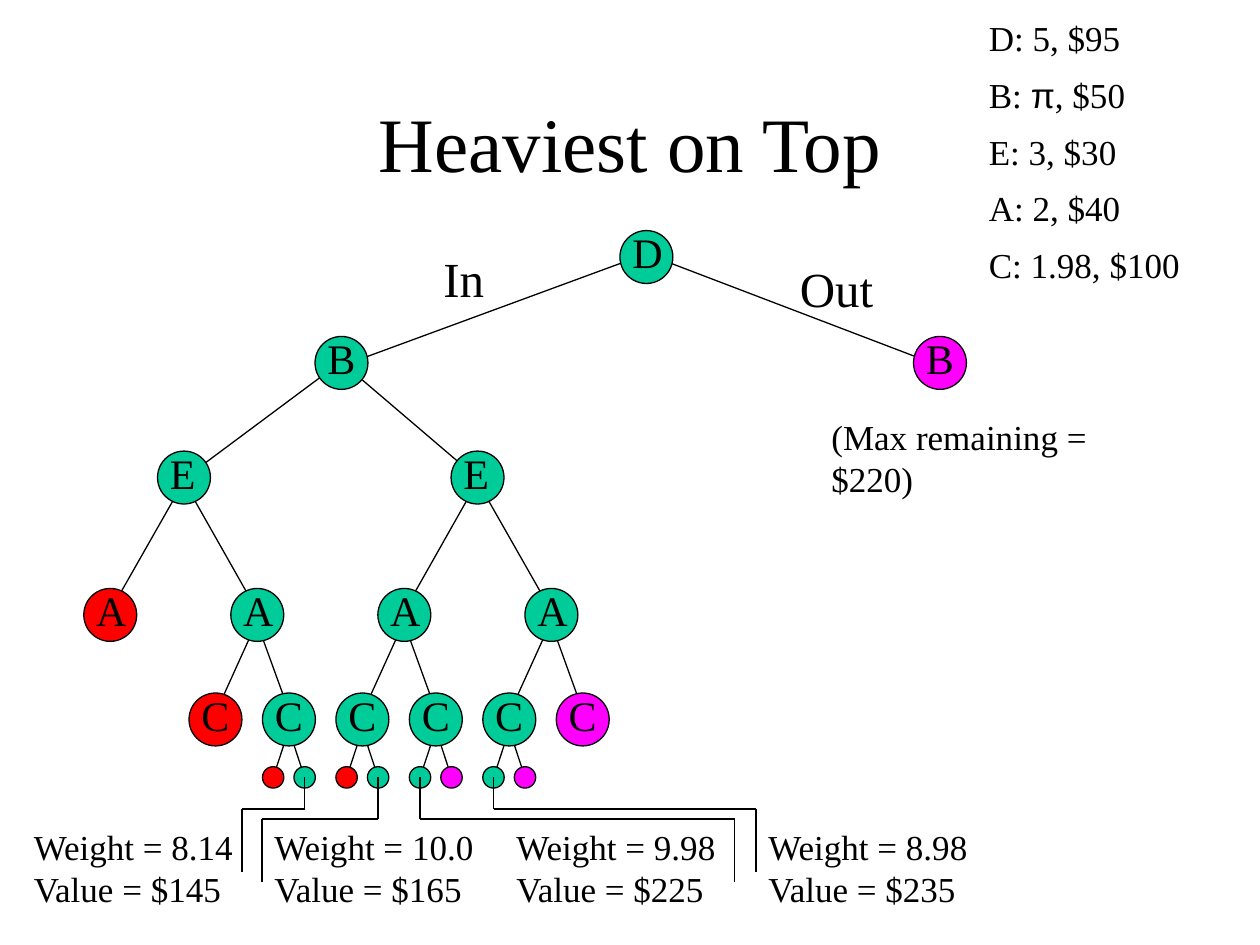
import itertools
from dataclasses import dataclass

import pptx
import pptx.dml.color
import pptx.enum.shapes
import pptx.enum.text
import pptx.oxml
import pptx.oxml.ns
import pptx.slide
import pptx.text.text
import pptx.util
from pptx.util import Inches

RGBColor = pptx.dml.color.RGBColor
Alignment = pptx.enum.text.PP_ALIGN
EFFECT_LIST = f"<a:effectLst {pptx.oxml.ns.nsdecls('a')}/>"


@dataclass(frozen=True)
class Theme:
    ink: RGBColor = RGBColor(0x00, 0x00, 0x00)
    feasible: RGBColor = RGBColor(0x00, 0xCC, 0x99)
    too_heavy: RGBColor = RGBColor(0xFF, 0x00, 0x00)
    pruned: RGBColor = RGBColor(0xFF, 0x00, 0xFF)
    font: str = "Times New Roman"
    symbol_font: str = "Arial"
    title_size: float = 44
    branch_size: float = 28
    node_size: float = 24
    note_size: float = 20
    line_width: float = 0.75


THEME = Theme()
NODE_DIAMETER = 0.42
LEAF_DIAMETER = 0.17
OVERSHOOT = 0.04
LEAF_OFFSET = 0.125
LEAF_Y = 6.17
ROW_Y = {"D": 2.04, "B": 2.88, "E": 3.79, "A": 4.88, "C": 5.71}
LABEL_WIDTH = {"D": 0.44, "B": 0.42, "E": 0.4, "A": 0.44, "C": 0.42}


@dataclass(frozen=True)
class Node:
    label: str
    x: float
    color: RGBColor = THEME.feasible
    children: tuple["Node", ...] = ()

    @property
    def y(self) -> float:
        return ROW_Y.get(self.label, LEAF_Y)

    @property
    def diameter(self) -> float:
        return NODE_DIAMETER if self.label else LEAF_DIAMETER


@dataclass(frozen=True)
class Outcome:
    leaf_x: float
    bar_y: float
    end_x: float
    text_left: float
    weight: str
    value: str


def item_c(x: float, taken: RGBColor, skipped: RGBColor) -> Node:
    return Node("C", x, children=(Node("", x - LEAF_OFFSET, taken),
                                  Node("", x + LEAF_OFFSET, skipped)))


A_X = [0.875 + 1.167 * column for column in range(4)]
C_X = [1.71 + 0.583 * column for column in range(6)]

LEFT_E = Node("E", 1.46, children=(
    Node("A", A_X[0], THEME.too_heavy),
    Node("A", A_X[1], children=(
        Node("C", C_X[0], THEME.too_heavy),
        item_c(C_X[1], THEME.too_heavy, THEME.feasible))),
))
RIGHT_E = Node("E", 3.79, children=(
    Node("A", A_X[2], children=(
        item_c(C_X[2], THEME.too_heavy, THEME.feasible),
        item_c(C_X[3], THEME.feasible, THEME.pruned))),
    Node("A", A_X[3], children=(
        item_c(C_X[4], THEME.feasible, THEME.pruned),
        Node("C", C_X[5], THEME.pruned))),
))
ROOT = Node("D", 5.13, children=(
    Node("B", 2.71, children=(LEFT_E, RIGHT_E)),
    Node("B", 7.46, THEME.pruned),
))

OUTCOMES = (
    Outcome(C_X[1] + LEAF_OFFSET, 6.42, 1.92, 0.17, "8.14", "$145"),
    Outcome(C_X[2] + LEAF_OFFSET, 6.5, 2.08, 2.08, "10.0", "$165"),
    Outcome(C_X[3] - LEAF_OFFSET, 6.5, 5.83, 4, "9.98", "$225"),
    Outcome(C_X[4] - LEAF_OFFSET, 6.42, 6, 6, "8.98", "$235"),
)

ITEMS = "D: 5, $95\nB: π, $50\nE: 3, $30\nA: 2, $40\nC: 1.98, $100"


def write(text_frame: pptx.text.text.TextFrame, text: str, *, size: float,
          alignment: Alignment = Alignment.LEFT, space_before: float = 0) -> None:
    for index, line in enumerate(text.split("\n")):
        paragraph = text_frame.add_paragraph() if index else text_frame.paragraphs[0]
        paragraph.alignment = alignment
        paragraph.space_before = pptx.util.Pt(space_before if index else 0)
        for is_plain, characters in itertools.groupby(line, key=str.isascii):
            run = paragraph.add_run()
            run.text = "".join(characters)
            run.font.name = THEME.font if is_plain else THEME.symbol_font
            run.font.size = pptx.util.Pt(size)
            run.font.color.rgb = THEME.ink


def add_text(slide: pptx.slide.Slide, text: str, left: float, top: float,
             width: float, height: float, *, size: float, wrap: bool = False,
             space_before: float = 0) -> None:
    shape = slide.shapes.add_textbox(Inches(left), Inches(top),
                                     Inches(width), Inches(height))
    shape.text_frame.word_wrap = wrap
    shape.text_frame.auto_size = pptx.enum.text.MSO_AUTO_SIZE.SHAPE_TO_FIT_TEXT
    write(shape.text_frame, text, size=size, space_before=space_before)


def add_line(slide: pptx.slide.Slide, start: tuple[float, float],
             end: tuple[float, float]) -> None:
    connector = slide.shapes.add_connector(
        pptx.enum.shapes.MSO_CONNECTOR.STRAIGHT,
        *(Inches(length) for length in (*start, *end)))
    connector.line.color.rgb = THEME.ink
    connector.line.width = pptx.util.Pt(THEME.line_width)
    connector._element.spPr.append(pptx.oxml.parse_xml(EFFECT_LIST))


def draw_edges(slide: pptx.slide.Slide, parent: Node) -> None:
    for child in parent.children:
        shift = OVERSHOOT if child.x > parent.x else -OVERSHOOT
        end = (child.x + shift, child.y + OVERSHOOT) if child.label else (child.x, child.y)
        add_line(slide, (parent.x - shift, parent.y - OVERSHOOT), end)
        draw_edges(slide, child)


def draw_nodes(slide: pptx.slide.Slide, node: Node) -> None:
    left, top = node.x - node.diameter / 2, node.y - node.diameter / 2
    shape = slide.shapes.add_shape(pptx.enum.shapes.MSO_SHAPE.OVAL, Inches(left),
                                   Inches(top), Inches(node.diameter),
                                   Inches(node.diameter))
    shape.shadow.inherit = False
    shape.fill.solid()
    shape.fill.fore_color.rgb = node.color
    shape.line.color.rgb = THEME.ink
    shape.line.width = pptx.util.Pt(THEME.line_width)
    if node.label:
        add_text(slide, node.label, left, top - 0.08, LABEL_WIDTH[node.label], 0.5,
                 size=THEME.node_size)
    for child in node.children:
        draw_nodes(slide, child)


def draw_outcome(slide: pptx.slide.Slide, outcome: Outcome) -> None:
    points = ((outcome.leaf_x, LEAF_Y), (outcome.leaf_x, outcome.bar_y),
              (outcome.end_x, outcome.bar_y), (outcome.end_x, outcome.bar_y + 0.5))
    for start, end in itertools.pairwise(points):
        add_line(slide, start, end)
    add_text(slide, f"Weight = {outcome.weight}\nValue = {outcome.value}",
             outcome.text_left, 6.5, 1.8, 0.77, size=THEME.note_size)


def main() -> None:
    presentation = pptx.Presentation()
    presentation.slide_width, presentation.slide_height = Inches(10), Inches(7.5)
    slide = presentation.slides.add_slide(presentation.slide_layouts[5])

    title = slide.shapes.title
    title.left, title.top = Inches(0.75), Inches(0.5)
    title.width, title.height = Inches(8.5), Inches(1.25)
    title.text_frame.vertical_anchor = pptx.enum.text.MSO_ANCHOR.MIDDLE
    write(title.text_frame, "Heaviest on Top", size=THEME.title_size,
          alignment=Alignment.CENTER)

    draw_edges(slide, ROOT)
    draw_nodes(slide, ROOT)
    for outcome in OUTCOMES:
        draw_outcome(slide, outcome)
    add_text(slide, "In", 3.42, 1.92, 0.52, 0.57, size=THEME.branch_size)
    add_text(slide, "Out", 6.25, 2, 0.78, 0.57, size=THEME.branch_size)
    add_text(slide, "(Max remaining = $220)", 6.5, 3.25, 2.94, 0.44,
             size=THEME.note_size)
    add_text(slide, ITEMS, 7.75, 0.08, 1.83, 2.19, size=THEME.note_size,
             wrap=True, space_before=8.5)
    presentation.save("out.pptx")


if __name__ == "__main__":
    main()
